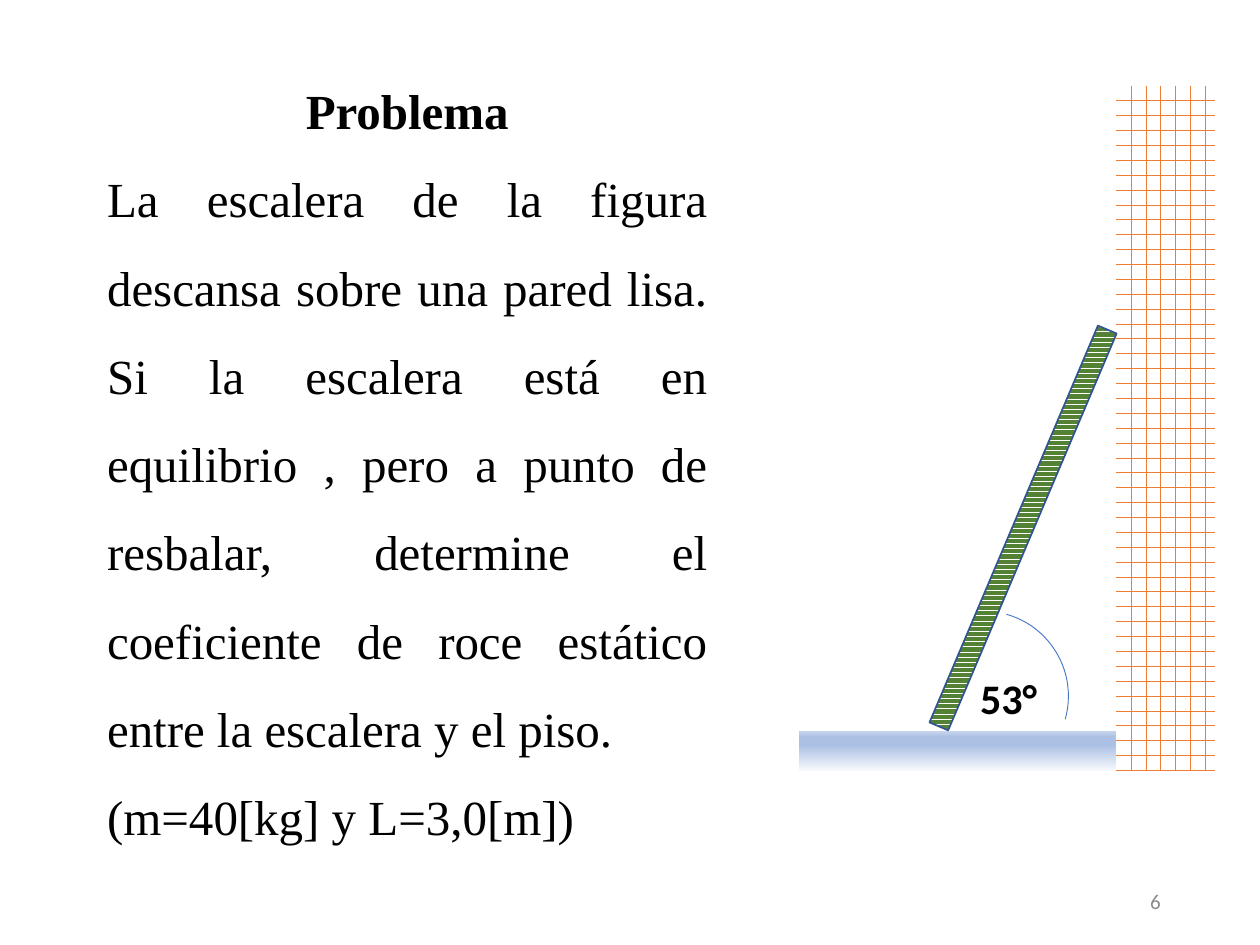
from dataclasses import dataclass

from lxml import etree
from pptx import Presentation
from pptx.dml.color import RGBColor
from pptx.enum.dml import MSO_PATTERN
from pptx.enum.shapes import MSO_SHAPE
from pptx.enum.text import MSO_ANCHOR, PP_ALIGN
from pptx.oxml import parse_xml
from pptx.oxml.ns import nsdecls, qn
from pptx.util import Cm, Pt


@dataclass(frozen=True)
class Theme:
    body_font: str = "Times New Roman"
    label_font: str = "Calibri"
    body_size: int = 28
    label_size: int = 24
    number_size: int = 12
    text: str = "000000"
    muted: str = "8C8C8C"
    paper: str = "FFFFFF"
    brick: str = "ED7D31"
    wood: str = "548235"
    ladder_edge: str = "325491"
    arc: str = "4472C4"
    floor: tuple = ((0, "C7D5ED"), (17, "ABC0E4"), (36, "ABC0E4"), (100, "F6F8FC"))


@dataclass(frozen=True)
class Box:
    """An area of the slide, in centimetres."""
    left: float
    top: float
    width: float
    height: float

    def inside(self, left, top, width, height):
        return Box(self.left + left, self.top + top, width, height)

    def lengths(self):
        return Cm(self.left), Cm(self.top), Cm(self.width), Cm(self.height)


THEME = Theme()


def color(value):
    return RGBColor.from_string(value)


def style_paragraph(paragraph, font, size, font_color, bold=False, align=PP_ALIGN.LEFT):
    paragraph.alignment = align
    for run in paragraph.runs:
        run.font.name = font
        run.font.size = Pt(size)
        run.font.bold = bold
        run.font.color.rgb = color(font_color)


def add_text_frame(slide, box, wrap=True):
    text_frame = slide.shapes.add_textbox(*box.lengths()).text_frame
    text_frame.word_wrap = wrap
    return text_frame


def add_plain_shape(slide, kind, box):
    """Add a shape without shadow, fill or line."""
    shape = slide.shapes.add_shape(kind, *box.lengths())
    shape.shadow.inherit = False
    shape.fill.background()
    shape.line.fill.background()
    return shape


def set_line(shape, line_color, width):
    shape.line.color.rgb = color(line_color)
    shape.line.width = Pt(width)


def set_pattern(shape, pattern, foreground):
    shape.fill.patterned()
    shape.fill.pattern = pattern
    shape.fill.fore_color.rgb = color(foreground)
    shape.fill.back_color.rgb = color(THEME.paper)


def set_vertical_gradient(shape, stops):
    gradient = parse_xml(
        f'<a:gradFill {nsdecls("a")} rotWithShape="1"><a:gsLst/>'
        '<a:lin ang="5400000" scaled="0"/></a:gradFill>'
    )
    for percent, stop_color in stops:
        stop = etree.SubElement(gradient[0], qn("a:gs"), pos=str(percent * 1000))
        etree.SubElement(stop, qn("a:srgbClr"), val=stop_color)
    properties = shape.element.spPr
    properties.replace(properties.find(qn("a:noFill")), gradient)


def add_problem(slide, box):
    text_frame = add_text_frame(slide, box)
    paragraphs = (
        ("Problema", True, PP_ALIGN.CENTER),
        ("La escalera de la figura descansa sobre una pared lisa. "
         "Si la escalera está en equilibrio , pero a punto de resbalar, "
         "determine el coeficiente de roce estático entre la escalera y el piso.",
         False, PP_ALIGN.JUSTIFY),
        ("(m=40[kg] y L=3,0[m])", False, PP_ALIGN.JUSTIFY),
    )
    for index, (text, bold, align) in enumerate(paragraphs):
        paragraph = text_frame.add_paragraph() if index else text_frame.paragraphs[0]
        paragraph.text = text
        paragraph.line_spacing = 1.5
        style_paragraph(paragraph, THEME.body_font, THEME.body_size, THEME.text, bold, align)


def add_ladder_figure(slide, box):
    """Draw the wall, the floor, the leaning ladder and its angle."""
    wall_width, floor_height = 2, 0.8
    floor_width = box.width - wall_width
    floor_top = box.height - floor_height

    wall = add_plain_shape(
        slide, MSO_SHAPE.RECTANGLE, box.inside(floor_width, 0, wall_width, box.height))
    set_pattern(wall, MSO_PATTERN.HORIZONTAL_BRICK, THEME.brick)

    floor = add_plain_shape(
        slide, MSO_SHAPE.RECTANGLE, box.inside(0, floor_top, floor_width, floor_height))
    set_vertical_gradient(floor, THEME.floor)

    ladder = add_plain_shape(slide, MSO_SHAPE.RECTANGLE, box.inside(4.32, 4.57, 0.41, 8.69))
    ladder.rotation = 23
    set_pattern(ladder, MSO_PATTERN.DARK_HORIZONTAL, THEME.wood)
    set_line(ladder, THEME.ladder_edge, 1)

    label = add_text_frame(slide, box.inside(3.41, 11.71, 1.8, 1.27), wrap=False)
    label.text = "53°"
    style_paragraph(
        label.paragraphs[0], THEME.label_font, THEME.label_size, THEME.text, bold=True)

    arc = add_plain_shape(slide, MSO_SHAPE.ARC, box.inside(2.01, 10.59, 3.43, 3.43))
    arc.rotation = 15.8
    set_line(arc, THEME.arc, 0.5)


def add_slide_number(slide, box):
    text_frame = add_text_frame(slide, box)
    text_frame.vertical_anchor = MSO_ANCHOR.MIDDLE
    text_frame.text = "6"
    style_paragraph(text_frame.paragraphs[0], THEME.label_font, THEME.number_size,
                    THEME.muted, align=PP_ALIGN.RIGHT)


def main():
    presentation = Presentation()
    presentation.slide_width = Cm(25.4)
    presentation.slide_height = Cm(19.05)
    slide = presentation.slides.add_slide(presentation.slide_layouts[6])
    add_problem(slide, Box(1.91, 0.91, 12.6, 16.2))
    add_ladder_figure(slide, Box(16.1, 1.73, 8.4, 13.8))
    add_slide_number(slide, Box(17.93, 17.65, 5.72, 1.02))
    presentation.save("out.pptx")


if __name__ == "__main__":
    main()
